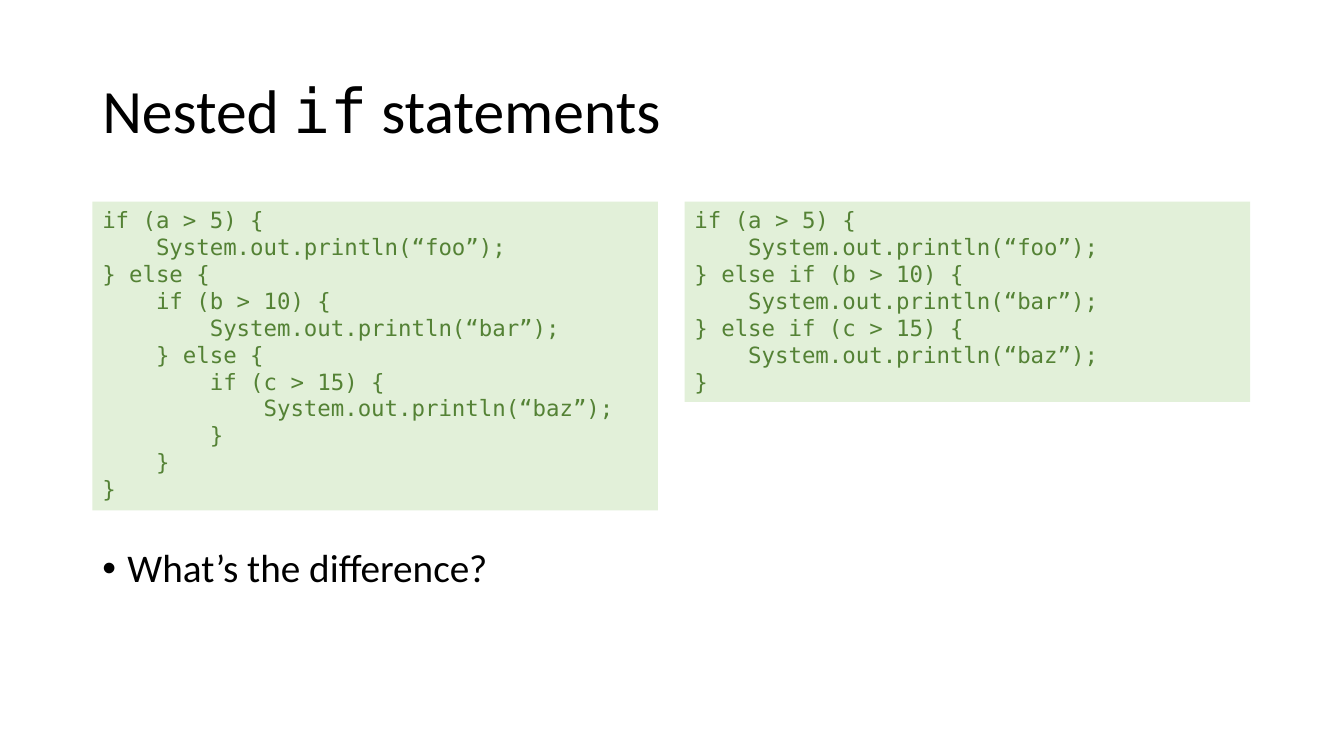
"""Build the slide on nested if statements."""
from lxml import etree
from pptx import Presentation
from pptx.dml.color import RGBColor
from pptx.enum import shapes, text
from pptx.oxml.ns import qn
from pptx.util import Pt

BLACK = RGBColor(0x00, 0x00, 0x00)
CODE_FILL = RGBColor(0xE2, 0xF0, 0xD9)
CODE_GREEN = RGBColor(0x54, 0x82, 0x35)
BODY_FONT = "Calibri"
CODE_FONT = "DejaVu Sans Mono"
LEFT, WIDTH = 66, 828
CODE_TOP, CODE_WIDTH, CODE_STEP = 144, 404, 423
CODE_LINE, CODE_PADDING = 19.4, 7.2

NESTED_CODE = """if (a > 5) {
    System.out.println(“foo”);
} else {
    if (b > 10) {
        System.out.println(“bar”);
    } else {
        if (c > 15) {
            System.out.println(“baz”);
        }
    }
}"""

CHAINED_CODE = """if (a > 5) {
    System.out.println(“foo”);
} else if (b > 10) {
    System.out.println(“bar”);
} else if (c > 15) {
    System.out.println(“baz”);
}"""


def style_font(font, name, size, color):
    """Set the typeface, size and colour of a font."""
    font.name = name
    font.size = Pt(size)
    font.color.rgb = color


def add_text_box(slide, top, height, anchor):
    """Add a full-width text box and return its first paragraph."""
    box = slide.shapes.add_textbox(Pt(LEFT), Pt(top), Pt(WIDTH), Pt(height))
    box.text_frame.word_wrap = True
    box.text_frame.vertical_anchor = anchor
    paragraph = box.text_frame.paragraphs[0]
    paragraph.line_spacing = 0.9
    return paragraph


def add_title(slide, parts):
    """Add the title from pairs of wording and typeface."""
    paragraph = add_text_box(slide, 28.8, 104.4, text.MSO_ANCHOR.MIDDLE)
    for wording, font_name in parts:
        run = paragraph.add_run()
        run.text = wording
        style_font(run.font, font_name, 44, BLACK)


def add_bullet(slide, wording):
    """Add a bulleted line below the code."""
    paragraph = add_text_box(slide, 388.6, 40, text.MSO_ANCHOR.TOP)
    paragraph.text = wording
    properties = paragraph._p.get_or_add_pPr()
    properties.set("marL", str(Pt(18)))
    properties.set("indent", str(-Pt(18)))
    etree.SubElement(properties, qn("a:buFont"), typeface="Arial")
    etree.SubElement(properties, qn("a:buChar"), char="•")
    style_font(paragraph.runs[0].font, BODY_FONT, 28, BLACK)


def add_code(slide, left, code):
    """Add a code panel as tall as its lines."""
    height = CODE_PADDING + CODE_LINE * len(code.splitlines())
    shape = slide.shapes.add_shape(
        shapes.MSO_SHAPE.RECTANGLE, Pt(left), Pt(CODE_TOP), Pt(CODE_WIDTH), Pt(height))
    shape.shadow.inherit = False
    shape.fill.solid()
    shape.fill.fore_color.rgb = CODE_FILL
    shape.line.fill.background()
    frame = shape.text_frame
    frame.word_wrap = True
    frame.vertical_anchor = text.MSO_ANCHOR.TOP
    frame.text = code
    for paragraph in frame.paragraphs:
        paragraph.alignment = text.PP_ALIGN.LEFT
        style_font(paragraph.runs[0].font, CODE_FONT, 16, CODE_GREEN)


def main():
    """Build and save the presentation."""
    presentation = Presentation()
    presentation.slide_width, presentation.slide_height = Pt(960), Pt(540)
    slide = presentation.slides.add_slide(presentation.slide_layouts[6])
    add_title(slide, [("Nested ", BODY_FONT), ("if", CODE_FONT), (" statements", BODY_FONT)])
    add_bullet(slide, "What’s the difference?")
    for column, code in enumerate([NESTED_CODE, CHAINED_CODE]):
        add_code(slide, LEFT + column * CODE_STEP, code)
    presentation.save("out.pptx")


if __name__ == "__main__":
    main()
